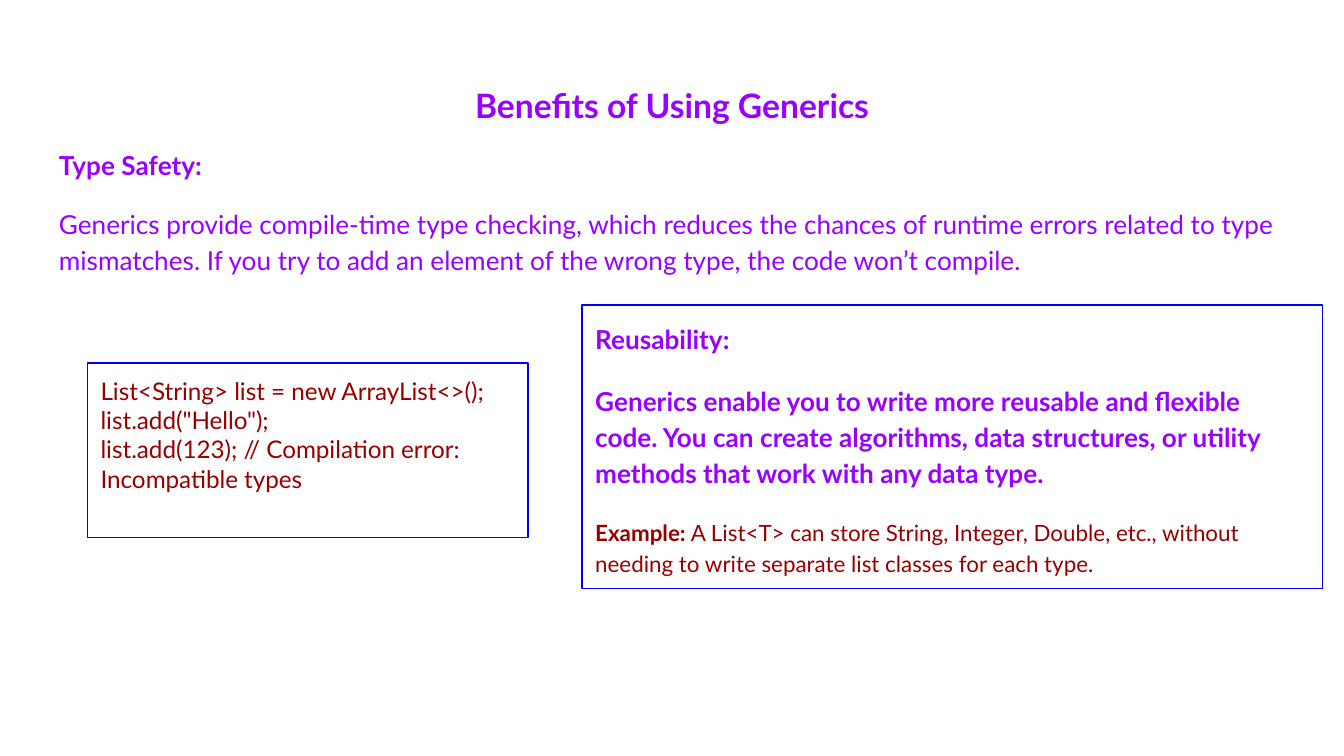
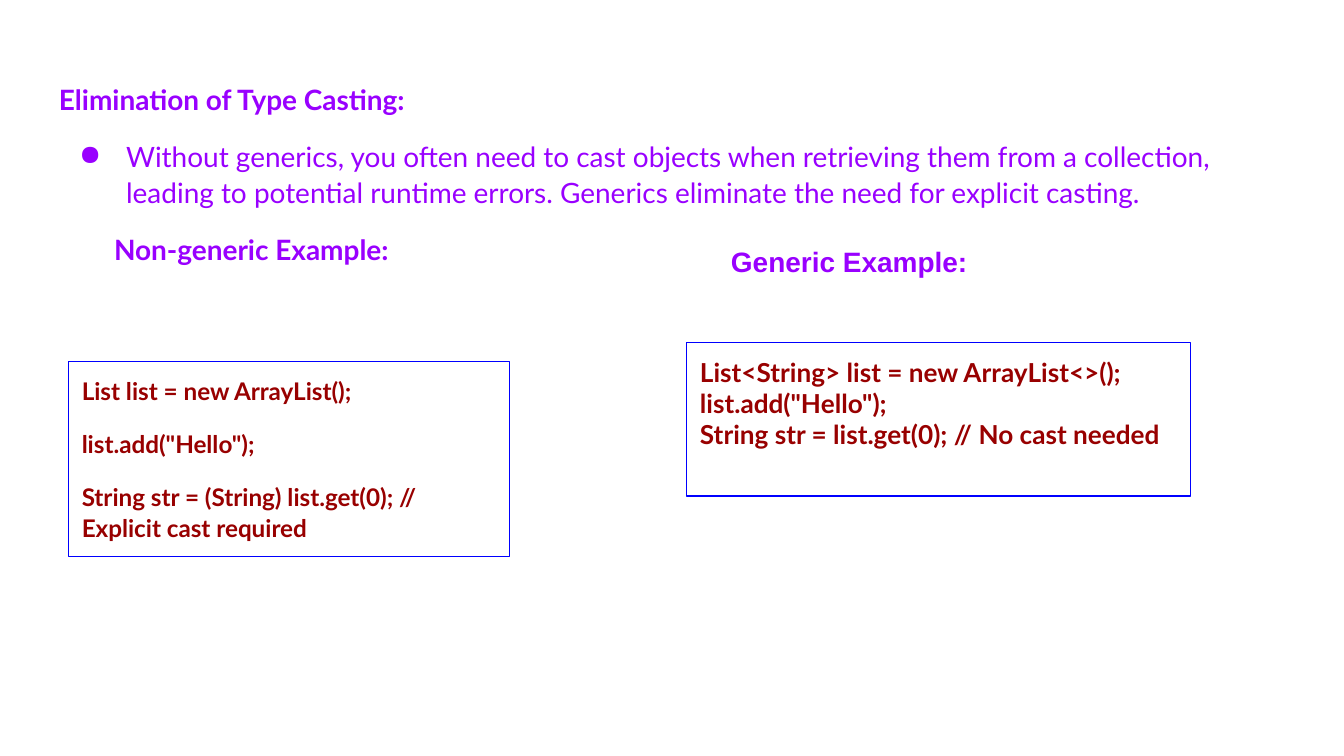
"""Build two slides on the benefits of Java generics."""
from dataclasses import dataclass, field, replace
from typing import Optional

from lxml import etree
from pptx import Presentation
from pptx.dml.color import RGBColor
from pptx.enum.shapes import MSO_SHAPE
from pptx.enum.text import MSO_ANCHOR, PP_ALIGN
from pptx.oxml.ns import qn
from pptx.util import Inches, Pt

RECTANGLE = MSO_SHAPE.RECTANGLE
TOP = MSO_ANCHOR.TOP
LEFT, CENTER = PP_ALIGN.LEFT, PP_ALIGN.CENTER

WIDTH = Inches(10)
HEIGHT = WIDTH * 9 // 16
COLUMN = WIDTH / 100
ROW = HEIGHT / 56.25


@dataclass(frozen=True)
class Theme:
    prose: RGBColor = RGBColor.from_string("9900FF")
    code: RGBColor = RGBColor.from_string("980000")
    frame: RGBColor = RGBColor.from_string("0000FF")
    frame_weight: float = 0.75
    font: str = "Lato"
    plain_font: str = "Arial"
    title: int = 18
    lead: int = 15
    body: int = 14
    listing: int = 13
    note: int = 12
    inset: float = 1


THEME = Theme()


@dataclass(frozen=True)
class Style:
    size: int
    color: RGBColor = THEME.prose
    bold: bool = False
    font: str = THEME.font
    align: PP_ALIGN = LEFT
    line_spacing: float = 1.0
    before: float = 0
    after: float = 0
    indent: float = 0
    hanging: float = 0
    bullet: Optional[str] = None


@dataclass(frozen=True)
class Passage:
    text: str
    style: Style
    plain_tail: str = ""


@dataclass(frozen=True)
class Block:
    column: float
    row: float
    columns: float
    rows: float
    passages: list[Passage] = field(default_factory=list)
    framed: bool = False


TITLE = Style(THEME.title, bold=True, align=CENTER, line_spacing=1.15, before=14, after=4)
BODY = Style(THEME.body, line_spacing=1.15, before=12)
BODY_HEADING = replace(BODY, bold=True)
REUSE = replace(BODY_HEADING, before=14)
EXAMPLE = replace(REUSE, size=THEME.note, color=THEME.code, after=14)
LEAD_HEADING = Style(THEME.lead, bold=True, line_spacing=1.05, before=12)
LEAD_BULLET = replace(LEAD_HEADING, bold=False, indent=5, hanging=3.5, bullet="●")
NON_GENERIC_HEADING = replace(LEAD_HEADING, indent=4.1, after=12)
GENERIC_HEADING = replace(LEAD_HEADING, font=THEME.plain_font, line_spacing=1.15,
                          before=15, after=15)
CODE = Style(THEME.listing, THEME.code)
SPACED_CODE = replace(CODE, bold=True, line_spacing=1.05, before=12)
BOLD_CODE = replace(CODE, size=THEME.body, bold=True)


def passages(style: Style, *texts: str) -> list[Passage]:
    """Give every text the same style."""
    return [Passage(text, style) for text in texts]


BENEFITS = [
    Block(3.4, 4.9, 93.2, 6.3, passages(TITLE, "Benefits of Using Generics")),
    Block(3.4, 9.8, 93.2, 13, [
        Passage("Type Safety:", BODY_HEADING),
        Passage("Generics provide compile-time type checking, which reduces the chances of "
                "runtime errors related to type mismatches. If you try to add an element of "
                "the wrong type, the code won’t compile.", replace(BODY, after=12)),
    ]),
    Block(6.5, 27, 32.8, 13, passages(
        CODE, "List<String> list = new ArrayList<>();", 'list.add("Hello");',
        "list.add(123); // Compilation error: Incompatible types"), framed=True),
    Block(43.3, 22.7, 55.1, 21.1, [
        *passages(REUSE, "Reusability:",
                  "Generics enable you to write more reusable and flexible code. You can create "
                  "algorithms, data structures, or utility methods that work with any data type."),
        Passage("Example:", EXAMPLE,
                " A List<T> can store String, Integer, Double, etc., without needing to write "
                "separate list classes for each type."),
    ], framed=True),
]

CASTING = [
    Block(3.4, 5, 93.2, 15.1, [
        Passage("Elimination of Type Casting:", LEAD_HEADING),
        Passage("Without generics, you often need to cast objects when retrieving them from a "
                "collection, leading to potential runtime errors. Generics eliminate the need "
                "for explicit casting.", LEAD_BULLET),
        Passage("Non-generic Example:", NON_GENERIC_HEADING),
    ]),
    Block(5.1, 26.9, 32.8, 14.5, [
        Passage("List list = new ArrayList();", replace(SPACED_CODE, before=0)),
        Passage('list.add("Hello");', SPACED_CODE),
        Passage("String str = (String) list.get(0); // Explicit cast required",
                replace(SPACED_CODE, after=12)),
    ], framed=True),
    Block(53.4, 16.8, 32.8, 4.5, passages(GENERIC_HEADING, "Generic Example:")),
    Block(51.1, 25.5, 37.5, 11.4, passages(
        BOLD_CODE, "List<String> list = new ArrayList<>();", 'list.add("Hello");',
        "String str = list.get(0); // No cast needed"), framed=True),
]


def format_run(run, style: Style, bold: bool) -> None:
    """Apply the style's font to one run."""
    run.font.name = style.font
    run.font.size = Pt(style.size)
    run.font.bold = bold
    run.font.color.rgb = style.color


def set_indent(paragraph, style: Style) -> None:
    """Indent a paragraph and give it its bullet."""
    properties = paragraph._p.get_or_add_pPr()
    properties.set("marL", str(int(style.indent * COLUMN)))
    properties.set("indent", str(int(-style.hanging * COLUMN)))
    if style.bullet:
        color = etree.SubElement(properties, qn("a:buClr"))
        etree.SubElement(color, qn("a:srgbClr")).set("val", str(style.color))
        etree.SubElement(properties, qn("a:buChar")).set("char", style.bullet)


def write_passage(paragraph, passage: Passage) -> None:
    """Fill and format one paragraph."""
    style = passage.style
    paragraph.text = passage.text
    paragraph.alignment = style.align
    paragraph.line_spacing = style.line_spacing
    paragraph.space_before = Pt(style.before)
    paragraph.space_after = Pt(style.after)
    format_run(paragraph.runs[0], style, style.bold)
    if passage.plain_tail:
        tail = paragraph.add_run()
        tail.text = passage.plain_tail
        format_run(tail, style, False)
    if style.indent:
        set_indent(paragraph, style)


def draw_block(slide, block: Block) -> None:
    """Draw a block of passages, with a frame where it has one."""
    place = (int(block.column * COLUMN), int(block.row * ROW),
             int(block.columns * COLUMN), int(block.rows * ROW))
    if block.framed:
        holder = slide.shapes.add_shape(RECTANGLE, *place)
        holder.shadow.inherit = False
        holder.fill.background()
        holder.line.color.rgb = THEME.frame
        holder.line.width = Pt(THEME.frame_weight)
    else:
        holder = slide.shapes.add_textbox(*place)
    frame = holder.text_frame
    frame.word_wrap = True
    frame.vertical_anchor = TOP
    inset = int(THEME.inset * COLUMN)
    frame.margin_left = frame.margin_right = inset
    frame.margin_top = frame.margin_bottom = inset
    for index, passage in enumerate(block.passages):
        write_passage(frame.add_paragraph() if index else frame.paragraphs[0], passage)


def main() -> None:
    """Build and save the presentation."""
    deck = Presentation()
    deck.slide_width, deck.slide_height = WIDTH, HEIGHT
    blank = deck.slide_layouts[6]
    for blocks in (BENEFITS, CASTING):
        slide = deck.slides.add_slide(blank)
        for block in blocks:
            draw_block(slide, block)
    deck.save("out.pptx")


if __name__ == "__main__":
    main()
